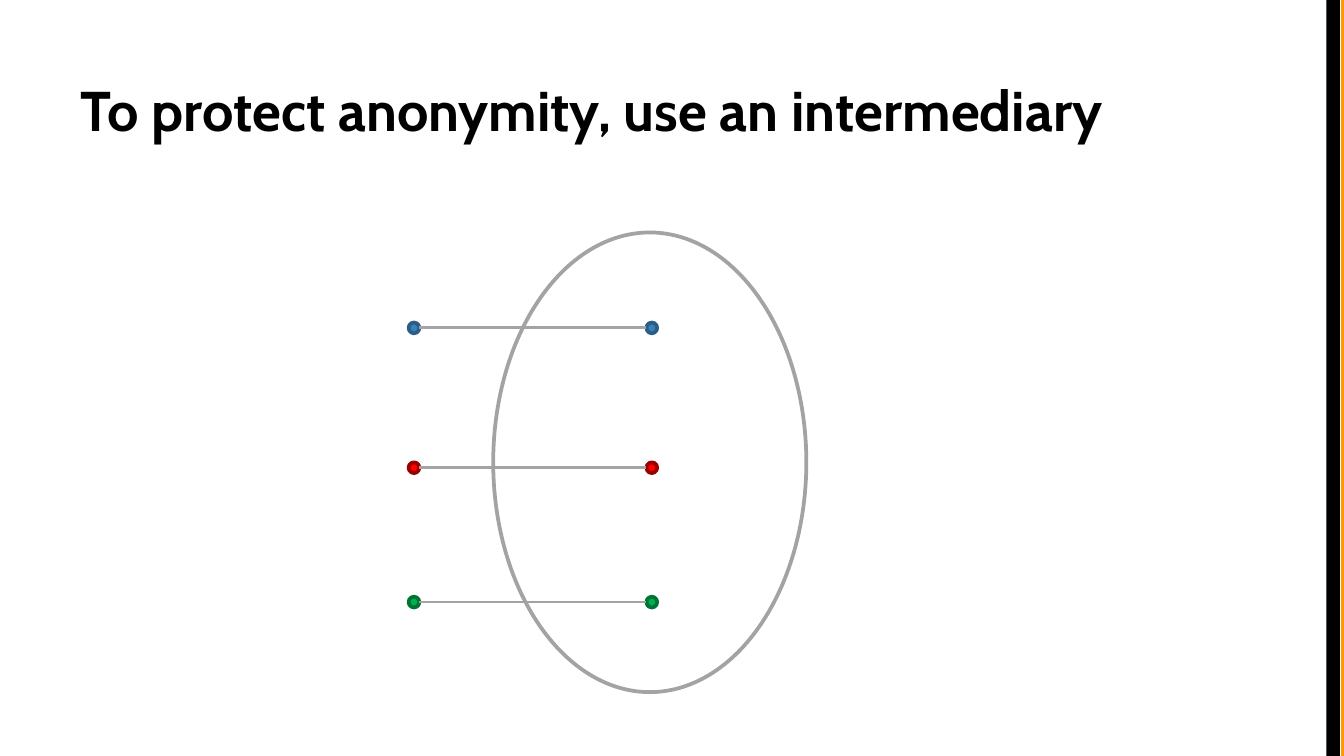
from lxml.etree import SubElement
from pptx import Presentation
from pptx.dml.color import RGBColor
from pptx.enum.shapes import MSO_CONNECTOR, MSO_SHAPE
from pptx.enum.text import MSO_ANCHOR, MSO_AUTO_SIZE, PP_ALIGN
from pptx.oxml.ns import qn
from pptx.util import Inches, Pt

SLIDE_WIDTH = 10
SLIDE_HEIGHT = SLIDE_WIDTH * 9 / 16
GRAY = "A3A3A3"
DOT_SIZE = 0.08
SENDER_LEFT, INTERMEDIARY_LEFT = 3.04, 4.81

color = RGBColor.from_string

presentation = Presentation()
presentation.slide_width = Inches(SLIDE_WIDTH)
presentation.slide_height = Inches(SLIDE_HEIGHT)
slide = presentation.slides.add_slide(presentation.slide_layouts[5])


def add_filled(kind, left, top, width, height, fill, line=None):
    """Add a shadowless shape; line is the colour of a 2 pt outline, if any."""
    shape = slide.shapes.add_shape(
        kind, Inches(left), Inches(top), Inches(width), Inches(height))
    shape.shadow.inherit = False
    shape.fill.solid()
    shape.fill.fore_color.rgb = color(fill)
    if line:
        shape.line.color.rgb = color(line)
        shape.line.width = Pt(2)
    else:
        shape.line.fill.background()


def write_text(shape, text, *, name, size, fill, bold=False,
               align=PP_ALIGN.LEFT, anchor=MSO_ANCHOR.BOTTOM, margin=0.1):
    frame = shape.text_frame
    frame.text = text
    frame.word_wrap = True
    frame.auto_size = MSO_AUTO_SIZE.NONE
    frame.vertical_anchor = anchor
    frame.margin_left = frame.margin_right = Inches(margin)
    frame.margin_top = frame.margin_bottom = Inches(margin)
    paragraph = frame.paragraphs[0]
    paragraph.alignment = align
    font = paragraph.runs[0].font
    font.name, font.size, font.bold = name, Pt(size), bold
    font.color.rgb = color(fill)


# Edge bars
add_filled(MSO_SHAPE.RECTANGLE, 9.98, 0, 0.1, SLIDE_HEIGHT, "FF9900")
add_filled(MSO_SHAPE.RECTANGLE, 9.87, 0, 0.1, SLIDE_HEIGHT, "000000")

# Title
title = slide.shapes.title
title.left, title.top = Inches(0.5), Inches(0.22)
title.width, title.height = Inches(9), Inches(0.94)
write_text(title, "To protect anonymity, use an intermediary",
           name="Cabin", size=30, fill="000000", bold=True)

# Intermediary, with one linked pair of dots per participant
add_filled(MSO_SHAPE.OVAL, 3.67, 1.73, 2.33, 3.42, "FFFFFF", GRAY)

participants = [
    (2.4, "3A81BA", "2A5E88"),
    (3.44, "FF0000", "990000"),
    (4.44, "00B050", "007434"),
]
for top, fill, outline in participants:
    for left in (INTERMEDIARY_LEFT, SENDER_LEFT):
        add_filled(MSO_SHAPE.OVAL, left, top, DOT_SIZE, DOT_SIZE, fill, outline)
    middle = Inches(top + DOT_SIZE / 2)
    link = slide.shapes.add_connector(
        MSO_CONNECTOR.STRAIGHT, Inches(SENDER_LEFT + DOT_SIZE), middle,
        Inches(INTERMEDIARY_LEFT), middle)
    link.line.color.rgb = color(GRAY)
    link.line.width = Pt(1.5)
    SubElement(link._element.spPr, qn("a:effectLst"))

presentation.save("out.pptx")
